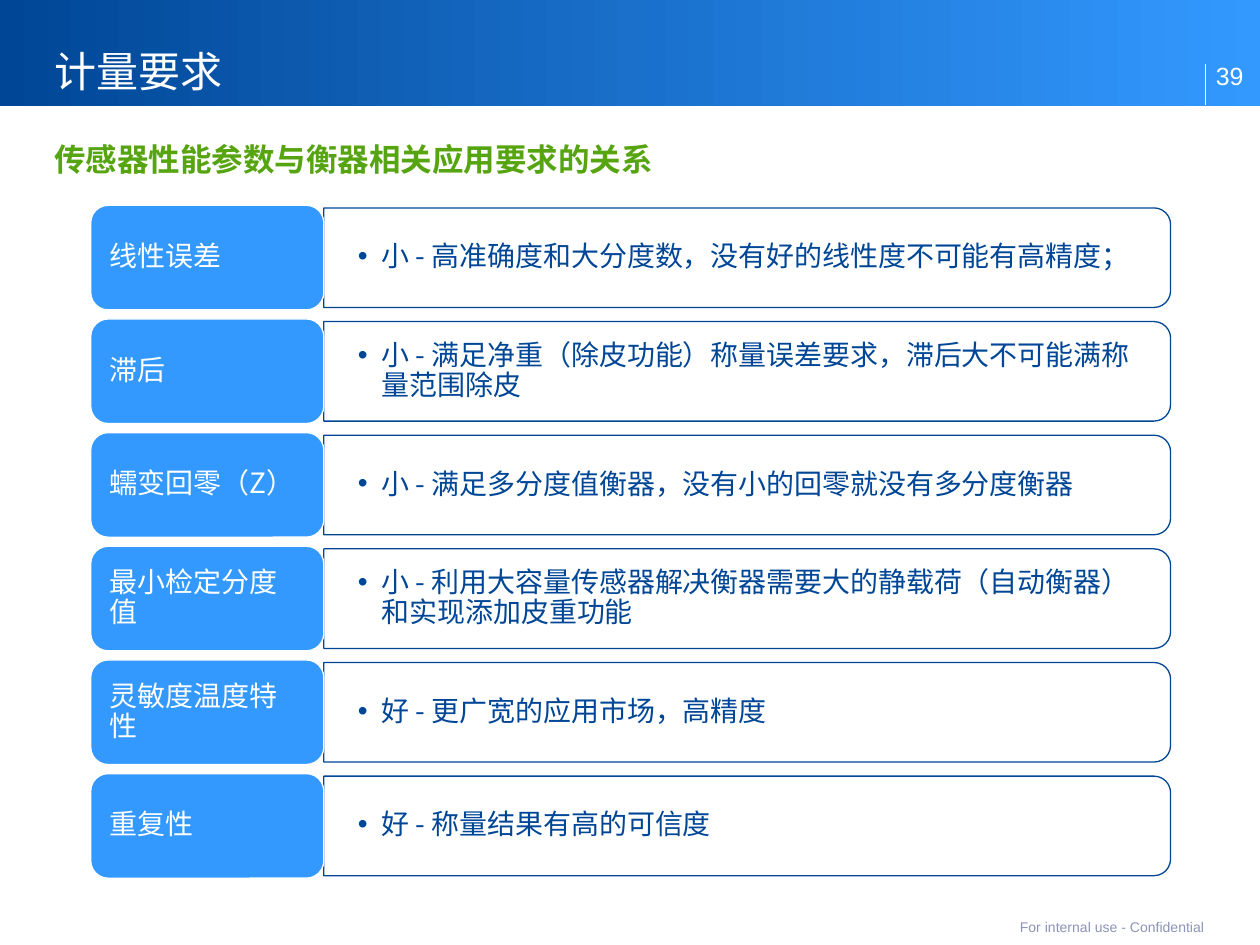
from lxml.etree import SubElement
from pptx import Presentation
from pptx.dml.color import RGBColor
from pptx.enum.shapes import MSO_CONNECTOR, MSO_SHAPE
from pptx.enum.text import MSO_ANCHOR, MSO_AUTO_SIZE, PP_ALIGN
from pptx.oxml.ns import qn
from pptx.util import Inches, Pt

NAVY = RGBColor(0x00, 0x46, 0x96)
BLUE = RGBColor(0x33, 0x99, 0xFF)
GREEN = RGBColor(0x56, 0xA4, 0x10)
GREY = RGBColor(0x8C, 0x94, 0xB8)
WHITE = RGBColor(0xFF, 0xFF, 0xFF)
CJK, LATIN = "Noto Sans CJK SC", "Arial"

ROWS = [
    ("线性误差", "小 - 高准确度和大分度数，没有好的线性度不可能有高精度；"),
    ("滞后", "小 - 满足净重（除皮功能）称量误差要求，滞后大不可能满称量范围除皮"),
    ("蠕变回零（Z）", "小 - 满足多分度值衡器，没有小的回零就没有多分度衡器"),
    ("最小检定分度值", "小 - 利用大容量传感器解决衡器需要大的静载荷（自动衡器）和实现添加皮重功能"),
    ("灵敏度温度特性", "好 - 更广宽的应用市场，高精度"),
    ("重复性", "好 - 称量结果有高的可信度"),
]
ROW_TOP, ROW_BOTTOM = 1.63, 6.97
LABEL_LEFT, LABEL_W, LABEL_H = 0.72, 1.85, 0.83
ROW_PITCH = (ROW_BOTTOM - ROW_TOP - LABEL_H) / (len(ROWS) - 1)
PANEL_LEFT, PANEL_W, PANEL_H = LABEL_LEFT + LABEL_W, 6.72, 0.79


class SlideBuilder:
    def __init__(self, prs):
        self.s = prs.slides.add_slide(prs.slide_layouts[5])

    def set_text(self, sp, text, size, color, font=CJK, bold=False, inset=(0, 0, 0, 0),
                 anchor=MSO_ANCHOR.TOP, align=PP_ALIGN.LEFT, spacing=None):
        tf = sp.text_frame
        tf.word_wrap = True
        tf.auto_size = MSO_AUTO_SIZE.NONE
        tf.vertical_anchor = anchor
        tf.margin_left, tf.margin_top, tf.margin_right, tf.margin_bottom = map(Inches, inset)
        p = tf.paragraphs[0]
        p.alignment = align
        p.line_spacing = spacing
        r = p.add_run()
        r.text = text
        r.font.size = Pt(size)
        r.font.bold = bold
        r.font.color.rgb = color
        r.font.name = font
        SubElement(r._r.get_or_add_rPr(), qn("a:ea"), typeface=font)
        return p

    def title(self, text, x, y, w, h):
        sp = self.s.shapes.title
        sp.left, sp.top, sp.width, sp.height = map(Inches, (x, y, w, h))
        sp.element.getparent().append(sp.element)  # bring in front of the banner
        self.set_text(sp, text, 24, WHITE, inset=(0, 0, 0, 0.08),
                      anchor=MSO_ANCHOR.BOTTOM, spacing=Pt(26))

    def text(self, text, x, y, w, h, size, color, **style):
        sp = self.s.shapes.add_textbox(*map(Inches, (x, y, w, h)))
        return self.set_text(sp, text, size, color, **style)

    def shape(self, kind, x, y, w, h, fill=None, line=None):
        sp = self.s.shapes.add_shape(kind, *map(Inches, (x, y, w, h)))
        sp.shadow.inherit = False
        if fill is None:
            sp.fill.background()
        else:
            sp.fill.solid()
            sp.fill.fore_color.rgb = fill
        if line is None:
            sp.line.fill.background()
        else:
            sp.line.color.rgb = line
            sp.line.width = Pt(0)
        return sp

    def banner(self, w, h):
        sp = self.shape(MSO_SHAPE.RECTANGLE, 0, 0, w, h)
        sp.fill.gradient()
        sp.fill.gradient_angle = 0
        for stop, position, color in zip(sp.fill.gradient_stops, (0, 1), (NAVY, BLUE)):
            stop.position = position
            stop.color.rgb = color

    def line(self, x1, y1, x2, y2, color, width):
        c = self.s.shapes.add_connector(MSO_CONNECTOR.STRAIGHT, *map(Inches, (x1, y1, x2, y2)))
        c.line.color.rgb = color
        c.line.width = Pt(width)
        SubElement(c.element.spPr, qn("a:effectLst"))

    def panel(self, text, center_y):
        """Outline rounded on its right side only, with bulleted text over it."""
        center_x = PANEL_LEFT + PANEL_W / 2
        sp = self.shape(MSO_SHAPE.ROUND_2_SAME_RECTANGLE, center_x - PANEL_H / 2,
                        center_y - PANEL_W / 2, PANEL_H, PANEL_W, line=NAVY)
        sp.rotation = 90
        p = self.text(text, PANEL_LEFT, center_y - 0.36, 6.68, 0.72, 16, NAVY,
                      inset=(0.27, 0.14, 0.27, 0.14), anchor=MSO_ANCHOR.MIDDLE, spacing=0.9)
        pPr = p._p.get_or_add_pPr()
        pPr.set("marL", str(Inches(0.19)))
        pPr.set("indent", str(-Inches(0.19)))
        SubElement(pPr, qn("a:buFont"), typeface=LATIN)
        SubElement(pPr, qn("a:buChar"), char="•")

    def label(self, text, y):
        sp = self.shape(MSO_SHAPE.ROUNDED_RECTANGLE, LABEL_LEFT, y, LABEL_W, LABEL_H, BLUE, WHITE)
        self.set_text(sp, text, 16, WHITE, inset=(0.11, 0.07, 0.11, 0.07),
                      anchor=MSO_ANCHOR.MIDDLE, spacing=0.9)


def main():
    prs = Presentation()
    prs.slide_width, prs.slide_height = Inches(10), Inches(7.5)
    b = SlideBuilder(prs)
    b.banner(10, 0.84)
    b.line(9.57, 0.83, 9.57, 0.51, WHITE, 0.5)
    b.title("计量要求", 0.43, 0.21, 7.56, 0.63)
    b.text("传感器性能参数与衡器相关应用要求的关系", 0.43, 1.11, 9.14, 0.36, 18, GREEN,
           bold=True, inset=(0, 0, 0, 0.08))
    b.text("39", 9.57, 0.36, 0.43, 0.47, 14.2, WHITE, font=LATIN,
           inset=(0.08, 0, 0, 0.11), anchor=MSO_ANCHOR.BOTTOM)
    b.text("For internal use - Confidential", 0.43, 7.27, 9.13, 0.17, 8, GREY, font=LATIN,
           inset=(0, 0.05, 0, 0.05), anchor=MSO_ANCHOR.MIDDLE, align=PP_ALIGN.RIGHT)
    for i, (name, requirement) in enumerate(ROWS):
        y = ROW_TOP + i * ROW_PITCH
        b.panel(requirement, y + LABEL_H / 2)
        b.label(name, y)
    prs.save("out.pptx")


if __name__ == "__main__":
    main()
